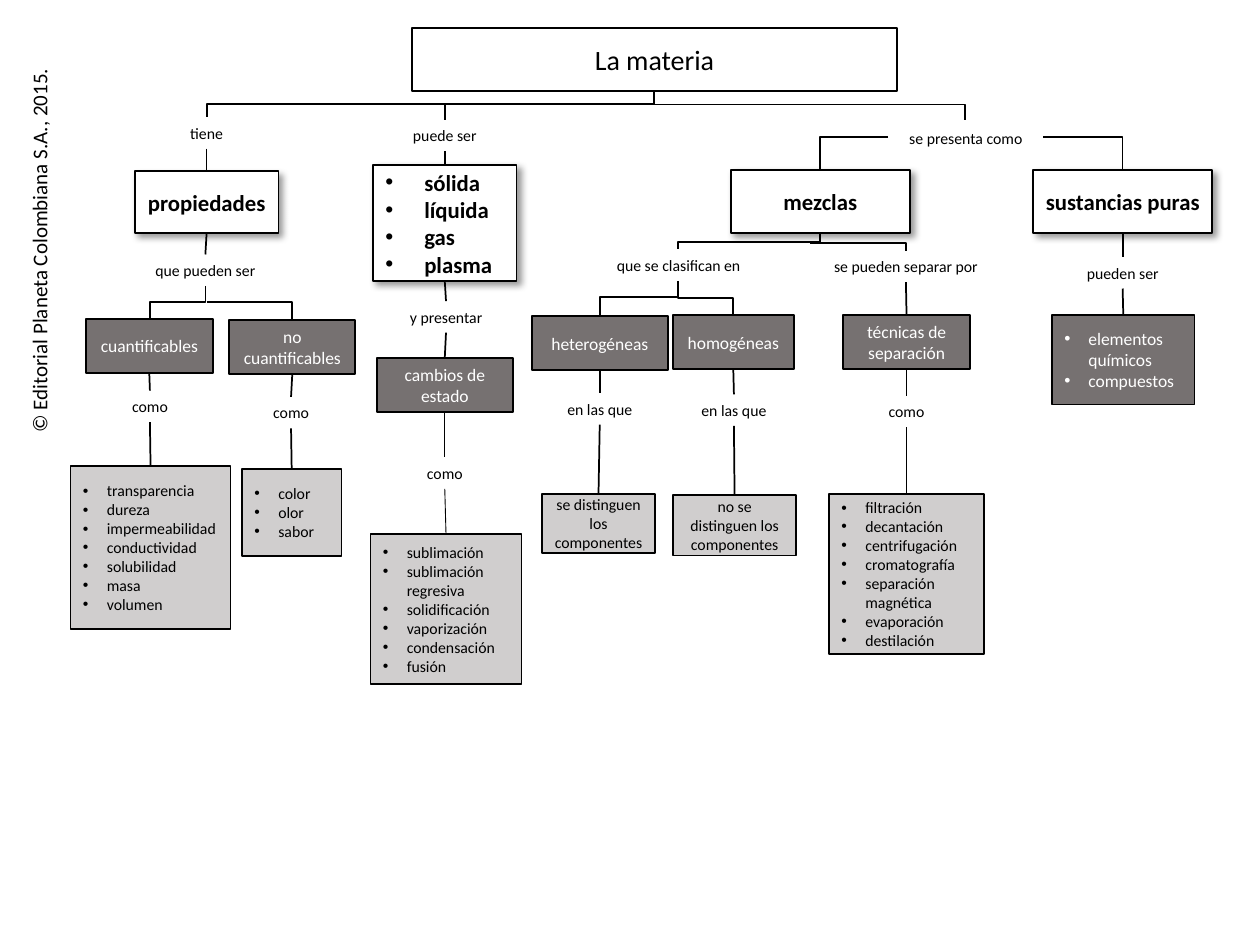
"""Build a concept map slide about matter, its properties, states and mixtures."""
from lxml import etree
from pptx import Presentation
from pptx import util as u
from pptx.dml.color import RGBColor
from pptx.enum import shapes, text
from pptx.oxml.ns import qn

THEME = {
    "font": "Calibri",
    "line": "000000",
    "title": {"size": 16, "color": "000000", "fill": "FFFFFF"},
    "topic": {"size": 13, "color": "000000", "fill": "FFFFFF", "bold": True, "shadow": True, "indent": 0.31},
    "class": {"size": 10, "color": "FFFFFF", "fill": "767171", "indent": 0.19},
    "detail": {"size": 9, "color": "000000", "fill": "D0CECE", "indent": 0.19},
    "link": {"size": 9, "color": "000000"},
    "credit": {"size": 12, "color": "000000"},
}
CREDIT = ("© Editorial Planeta Colombiana S.A., 2015.", (-1.25, 1.82, 3.12, 0.3))
TITLE = ("La materia", (3.27, 0.22, 3.85, 0.5))

BOXES = {
    "properties": ("topic", "propiedades", (1.07, 1.36, 1.14, 0.49)),
    "states": ("topic", ["sólida", "líquida", "gas", "plasma"], (2.96, 1.31, 1.14, 0.92)),
    "mixtures": ("topic", "mezclas", (5.8, 1.35, 1.42, 0.5)),
    "pure": ("topic", "sustancias puras", (8.2, 1.35, 1.42, 0.5)),
    "measurable": ("class", "cuantificables", (0.68, 2.53, 1.01, 0.43)),
    "unmeasurable": ("class", "no cuantificables", (1.82, 2.54, 1, 0.43)),
    "changes": ("class", "cambios de estado", (2.99, 2.84, 1.08, 0.43)),
    "heterogeneous": ("class", "heterogéneas", (4.22, 2.51, 1.08, 0.43)),
    "homogeneous": ("class", "homogéneas", (5.34, 2.5, 0.96, 0.43)),
    "techniques": ("class", "técnicas de separación", (6.69, 2.5, 1.01, 0.43)),
    "pure kinds": ("class", ["elementos químicos", "compuestos"], (8.35, 2.5, 1.13, 0.71)),
    "measurable list": ("detail", ["transparencia", "dureza", "impermeabilidad", "conductividad",
                                   "solubilidad", "masa", "volumen"], (0.56, 3.7, 1.27, 1.29)),
    "unmeasurable list": ("detail", ["color", "olor", "sabor"], (1.92, 3.72, 0.79, 0.69)),
    "changes list": ("detail", ["sublimación", "sublimación regresiva", "solidificación",
                                "vaporización", "condensación", "fusión"], (2.94, 4.24, 1.2, 1.19)),
    "distinct": ("detail", "se distinguen los componentes", (4.3, 3.92, 0.9, 0.47)),
    "indistinct": ("detail", "no se distinguen los componentes", (5.34, 3.93, 0.98, 0.48)),
    "techniques list": ("detail", ["filtración", "decantación", "centrifugación", "cromatografía",
                                   "separación magnética", "evaporación", "destilación"],
                        (6.58, 3.92, 1.23, 1.27)),
}
LABELS = {
    "has": ("tiene", 1.11, 0.93, 1.06),
    "can be": ("puede ser", 3, 0.95, 1.06),
    "appears as": ("se presenta como", 7.05, 0.97, 1.23),
    "which can be": ("que pueden ser", 1.1, 2.02, 1.06),
    "classified": ("que se clasifican en", 4.71, 1.98, 1.35),
    "separated": ("se pueden separar por", 6.51, 1.99, 1.36),
    "pure can be": ("pueden ser", 8.15, 2.04, 1.52),
    "undergo": ("y presentar", 2.78, 2.39, 1.52),
    "measurable as": ("como", 0.43, 3.1, 1.52),
    "unmeasurable as": ("como", 1.55, 3.15, 1.52),
    "changes as": ("como", 2.77, 3.63, 1.52),
    "heterogeneous where": ("en las que", 4, 3.12, 1.52),
    "homogeneous where": ("en las que", 5.16, 3.13, 1.33),
    "techniques as": ("como", 6.53, 3.14, 1.33),
}
LABEL_HEIGHT = 0.25
CHAINS = [
    ("has", "properties", "which can be"),
    ("can be", "states", "undergo", "changes"),
    ("pure", "pure can be", "pure kinds"),
    ("separated", "techniques", "techniques as", "techniques list"),
    ("measurable", "measurable as", "measurable list"),
    ("unmeasurable", "unmeasurable as", "unmeasurable list"),
    ("heterogeneous", "heterogeneous where", "distinct"),
    ("homogeneous", "homogeneous where", "indistinct"),
]
THIN_CHAIN = ("changes", "changes as", "changes list")
FORKS = [
    ((5.19, 0.72), (1.64, 0.93)),
    ((1.63, 2.27), (1.19, 2.53)),
    ((6.51, 1.86), (5.38, 1.98)),
    ((5.38, 2.23), (5.82, 2.5)),
]
CORNERS = [
    ((5.18, 0.83), (7.66, 0.95)),
    ((8.28, 1.09), (8.91, 1.35)),
    ((7.05, 1.09), (6.51, 1.35)),
    ((6.43, 1.93), (7.19, 1.99)),
    ((1.64, 2.4), (2.32, 2.54)),
    ((5.37, 2.36), (4.76, 2.51)),
]


def inches(values):
    return [u.Inches(value) for value in values]


def write(shape, content, style, align=text.PP_ALIGN.CENTER):
    frame = shape.text_frame
    frame.word_wrap = True
    bulleted = isinstance(content, list)
    for index, line in enumerate(content if bulleted else [content]):
        paragraph = frame.add_paragraph() if index else frame.paragraphs[0]
        paragraph.alignment = text.PP_ALIGN.LEFT if bulleted else align
        if bulleted:
            properties = paragraph._p.get_or_add_pPr()
            indent = u.Inches(style["indent"])
            properties.set("marL", str(indent))
            properties.set("indent", str(-indent))
            etree.SubElement(properties, qn("a:buFont"), typeface="Arial")
            etree.SubElement(properties, qn("a:buChar"), char="•")
        run = paragraph.add_run()
        run.text = line
        run.font.name = THEME["font"]
        run.font.size = u.Pt(style["size"])
        run.font.bold = style.get("bold", False)
        run.font.color.rgb = RGBColor.from_string(style["color"])


def paint(shape, style):
    shape.fill.solid()
    shape.fill.fore_color.rgb = RGBColor.from_string(style["fill"])
    shape.line.color.rgb = RGBColor.from_string(THEME["line"])
    shape.line.width = u.Pt(1)
    shape.text_frame.vertical_anchor = text.MSO_ANCHOR.MIDDLE


def add_box(slide, kind, content, place):
    style = THEME[kind]
    shape = slide.shapes.add_shape(shapes.MSO_SHAPE.RECTANGLE, *inches(place))
    paint(shape, style)
    shape.shadow.inherit = False
    if style.get("shadow"):
        effects = shape._element.spPr.find(qn("a:effectLst"))
        shadow = etree.SubElement(effects, qn("a:outerShdw"), blurRad=str(u.Pt(4)), dist=str(u.Pt(3)),
                                  dir="2700000", algn="tl", rotWithShape="0")
        color = etree.SubElement(shadow, qn("a:srgbClr"), val=THEME["line"])
        etree.SubElement(color, qn("a:alpha"), val="40000")
    write(shape, content, style)
    return shape


def add_label(slide, content, place, style, align=text.PP_ALIGN.CENTER):
    label = slide.shapes.add_textbox(*inches(place))
    write(label, content, style, align)
    label.text_frame.auto_size = text.MSO_AUTO_SIZE.SHAPE_TO_FIT_TEXT
    return label


def add_line(slide, start, end, kind=shapes.MSO_CONNECTOR.STRAIGHT, width=1):
    connector = slide.shapes.add_connector(kind, *inches(start + end))
    connector.line.color.rgb = RGBColor.from_string(THEME["line"])
    connector.line.width = u.Pt(width)
    etree.SubElement(connector._element.spPr, qn("a:effectLst"))
    return connector


def add_fork(slide, start, end):
    (x1, y1), (x2, y2) = start, end
    middle_x, middle_y = (x1 + x2) / 2, (y1 + y2) / 2
    half_x, half_y = (x2 - x1) / 2, (y2 - y1) / 2
    fork = add_line(slide, (middle_x - half_y, middle_y + half_x),
                    (middle_x + half_y, middle_y - half_x), shapes.MSO_CONNECTOR.ELBOW)
    fork._element.spPr.find(qn("a:xfrm")).set("rot", "5400000")


def add_corner(slide, start, end):
    corner = add_line(slide, start, end, shapes.MSO_CONNECTOR.ELBOW)
    corner._element.spPr.find(qn("a:prstGeom")).set("prst", "bentConnector2")


def add_chain(slide, nodes, chain, width=1):
    for upper, lower in zip(chain, chain[1:]):
        link = add_line(slide, (0, 0), (1, 1), width=width)
        link.begin_connect(nodes[upper], 2)
        link.end_connect(nodes[lower], 0)


def main():
    presentation = Presentation()
    presentation.slide_width, presentation.slide_height = inches((10, 7.5))
    slide = presentation.slides.add_slide(presentation.slide_layouts[5])

    title = slide.shapes.title
    title.left, title.top, title.width, title.height = inches(TITLE[1])
    paint(title, THEME["title"])
    write(title, TITLE[0], THEME["title"])
    title.text_frame.auto_size = text.MSO_AUTO_SIZE.NONE

    credit = add_label(slide, *CREDIT, THEME["credit"], text.PP_ALIGN.LEFT)
    credit.text_frame.word_wrap = False
    credit.rotation = 270

    nodes = {name: add_box(slide, *box) for name, box in BOXES.items()}
    for name, (content, left, top, width) in LABELS.items():
        nodes[name] = add_label(slide, content, (left, top, width, LABEL_HEIGHT), THEME["link"])

    for chain in CHAINS:
        add_chain(slide, nodes, chain)
    add_chain(slide, nodes, THIN_CHAIN, width=0.5)
    add_line(slide, (3.53, 0.82), (3.53, 0.95)).end_connect(nodes["can be"], 0)
    for start, end in FORKS:
        add_fork(slide, start, end)
    for start, end in CORNERS:
        add_corner(slide, start, end)
    presentation.save("out.pptx")


if __name__ == "__main__":
    main()
